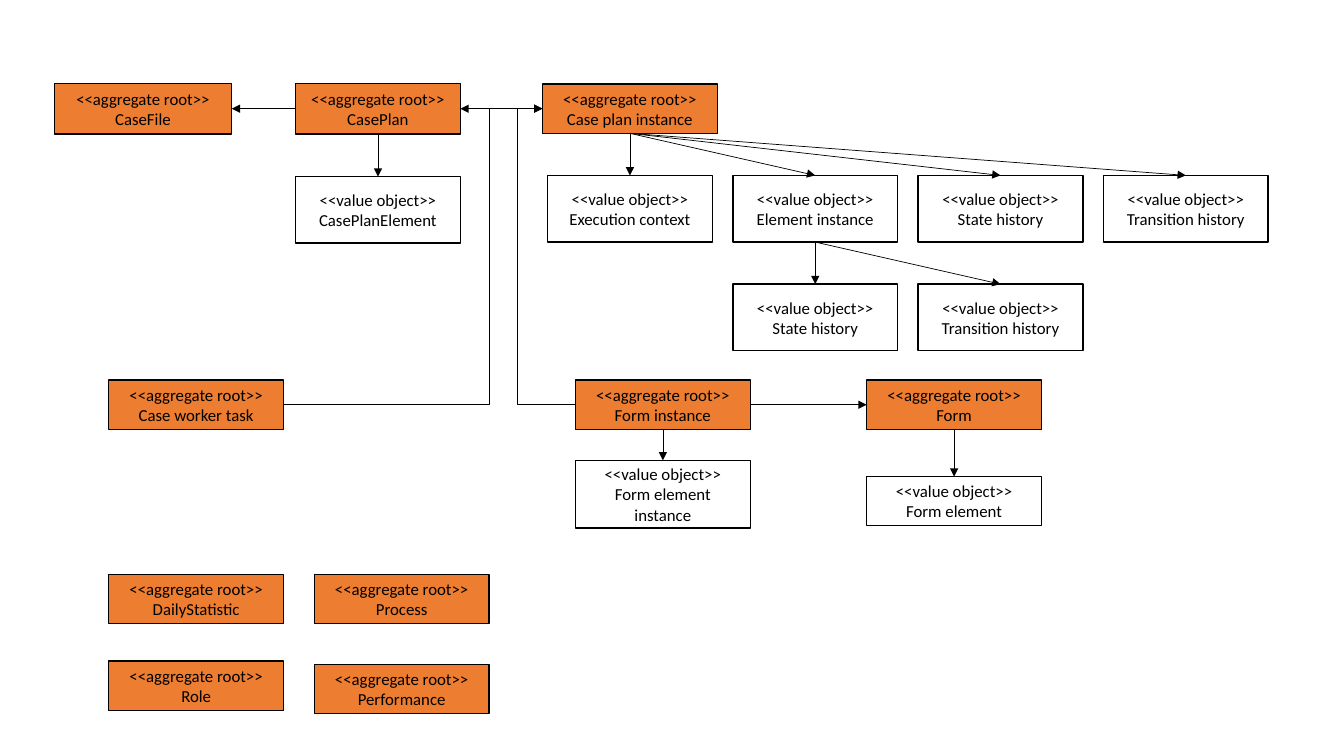
"""Build a domain model slide of aggregate roots and their value objects."""
from pptx import Presentation
from pptx.dml.color import RGBColor
from pptx.enum.shapes import MSO_CONNECTOR as Link, MSO_SHAPE as Shape
from pptx.enum.text import MSO_ANCHOR as Anchor, PP_ALIGN as Align
from pptx.oxml.ns import qn
from pptx.util import Cm, Pt
from lxml.etree import SubElement

INK, ORANGE = "000000", "ED7D31"
TOP, LEFT, BOTTOM, RIGHT = range(4)
WIDE, SLIM = 4.41, 4.15
LOW, TALL = 1.24, 1.68
COL, STEP = 13.8, 4.67
ROW, SUB, MID = 4.42, 7.16, 9.58

ROOTS = {
    "file": ("CaseFile", 1.37, 2.1, 4.47, 1.28),
    "plan": ("CasePlan", 7.45, 2.1, SLIM, 1.28),
    "case": ("Case plan instance", 13.67, 2.12, WIDE, LOW),
    "task": ("Case worker task", 2.74, MID, WIDE, LOW),
    "filled": ("Form instance", 14.5, MID, WIDE, LOW),
    "form": ("Form", 21.84, MID, WIDE, LOW),
    "daily": ("DailyStatistic", 2.74, 14.48, WIDE, LOW),
    "process": ("Process", 7.92, 14.48, WIDE, LOW),
    "role": ("Role", 2.74, 16.66, WIDE, LOW),
    "perform": ("Performance", 7.92, 16.74, WIDE, LOW),
}
VALUES = {
    "part": ("CasePlanElement", 7.45, 4.45, SLIM, TALL),
    "context": ("Execution context", COL, ROW, SLIM, TALL),
    "element": ("Element instance", COL + STEP, ROW, SLIM, TALL),
    "state": ("State history", COL + 2 * STEP, ROW, SLIM, TALL),
    "moves": ("Transition history", COL + 3 * STEP, ROW, SLIM, TALL),
    "substate": ("State history", COL + STEP, SUB, SLIM, TALL),
    "submoves": ("Transition history", COL + 2 * STEP, SUB, SLIM, TALL),
    "entry": ("Form element instance", 14.5, 11.6, WIDE, 1.71),
    "field": ("Form element", 21.84, 12.01, WIDE, LOW),
}
OWNS = {
    "plan": ["part"],
    "case": ["context", "element", "state", "moves"],
    "element": ["substate", "submoves"],
    "filled": ["entry"],
    "form": ["field"],
}
SIDE = [
    ("plan", LEFT, "file", RIGHT),
    ("case", LEFT, "plan", RIGHT),
    ("filled", RIGHT, "form", LEFT),
]
BENT = [
    ("filled", LEFT, "case", LEFT, 13.03),
    ("task", RIGHT, "case", LEFT, 12.33),
]


def color(code):
    """Turn a hex string into a colour."""
    return RGBColor.from_string(code)


def put(frame, lines, font="Calibri", size=12, ink=INK, align=Align.CENTER):
    """Write one paragraph per line."""
    frame.word_wrap = True
    frame.vertical_anchor = Anchor.MIDDLE
    for i, text in enumerate(lines):
        para = frame.paragraphs[0] if i == 0 else frame.add_paragraph()
        para.alignment = align
        run = para.add_run()
        run.text = text
        run.font.name, run.font.size = font, Pt(size)
        run.font.color.rgb = color(ink)


def box(slide, label, spot, fill=None):
    """Add a bordered box holding a label and a name."""
    name, *rect = spot
    shape = slide.shapes.add_shape(Shape.RECTANGLE, *map(Cm, rect))
    shape.shadow.inherit = False
    if fill:
        shape.fill.solid()
        shape.fill.fore_color.rgb = color(fill)
    else:
        shape.fill.background()
    shape.line.color.rgb = color(INK)
    shape.line.width = Pt(1)
    put(shape.text_frame, [label, name])
    return shape


def port(shape, side):
    """Find the middle of one side of a box."""
    x = {LEFT: 0, RIGHT: shape.width}.get(side, shape.width // 2)
    y = {TOP: 0, BOTTOM: shape.height}.get(side, shape.height // 2)
    return shape.left + x, shape.top + y


def join(slide, start, out, end, into, lane=None):
    """Draw an arrow between two boxes, bent at a lane if one is given."""
    a, b = port(start, out), port(end, into)
    kind = Link.STRAIGHT if lane is None else Link.ELBOW
    line = slide.shapes.add_connector(kind, *a, *b)
    line.begin_connect(start, out)
    line.end_connect(end, into)
    line.line.color.rgb = color(INK)
    line.line.width = Pt(0.5)
    props = line.element.spPr
    SubElement(props.find(qn("a:ln")), qn("a:tailEnd"), type="triangle")
    SubElement(props, qn("a:effectLst"))
    if lane is not None:
        bend = round((Cm(lane) - a[0]) / (b[0] - a[0]) * 100000)
        geom = props.find(qn("a:prstGeom"))
        guides = geom.find(qn("a:avLst"))
        if guides is None:
            guides = SubElement(geom, qn("a:avLst"))
        SubElement(guides, qn("a:gd"), name="adj1", fmla=f"val {bend}")


def main():
    """Draw the boxes, then the arrows."""
    deck = Presentation()
    deck.slide_width, deck.slide_height = Cm(33.87), Cm(19.05)
    slide = deck.slides.add_slide(deck.slide_layouts[6])
    boxes = {}
    for key, spot in ROOTS.items():
        boxes[key] = box(slide, "<<aggregate root>>", spot, fill=ORANGE)
    for key, spot in VALUES.items():
        boxes[key] = box(slide, "<<value object>>", spot)
    down = [(a, BOTTOM, b, TOP) for a, kids in OWNS.items() for b in kids]
    for a, out, b, into, *lane in down + SIDE + BENT:
        join(slide, boxes[a], out, boxes[b], into, *lane)
    deck.save("out.pptx")


if __name__ == "__main__":
    main()
